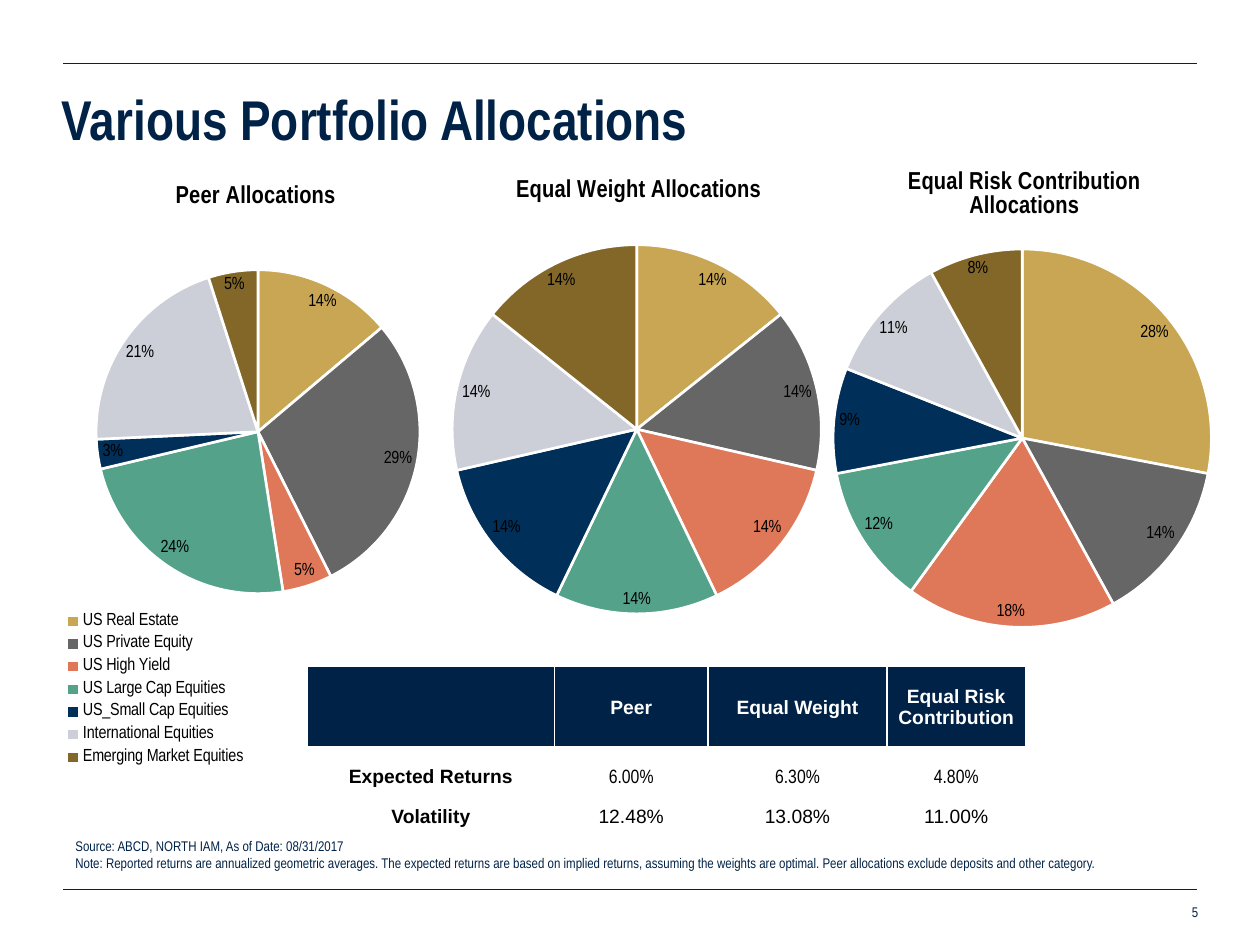
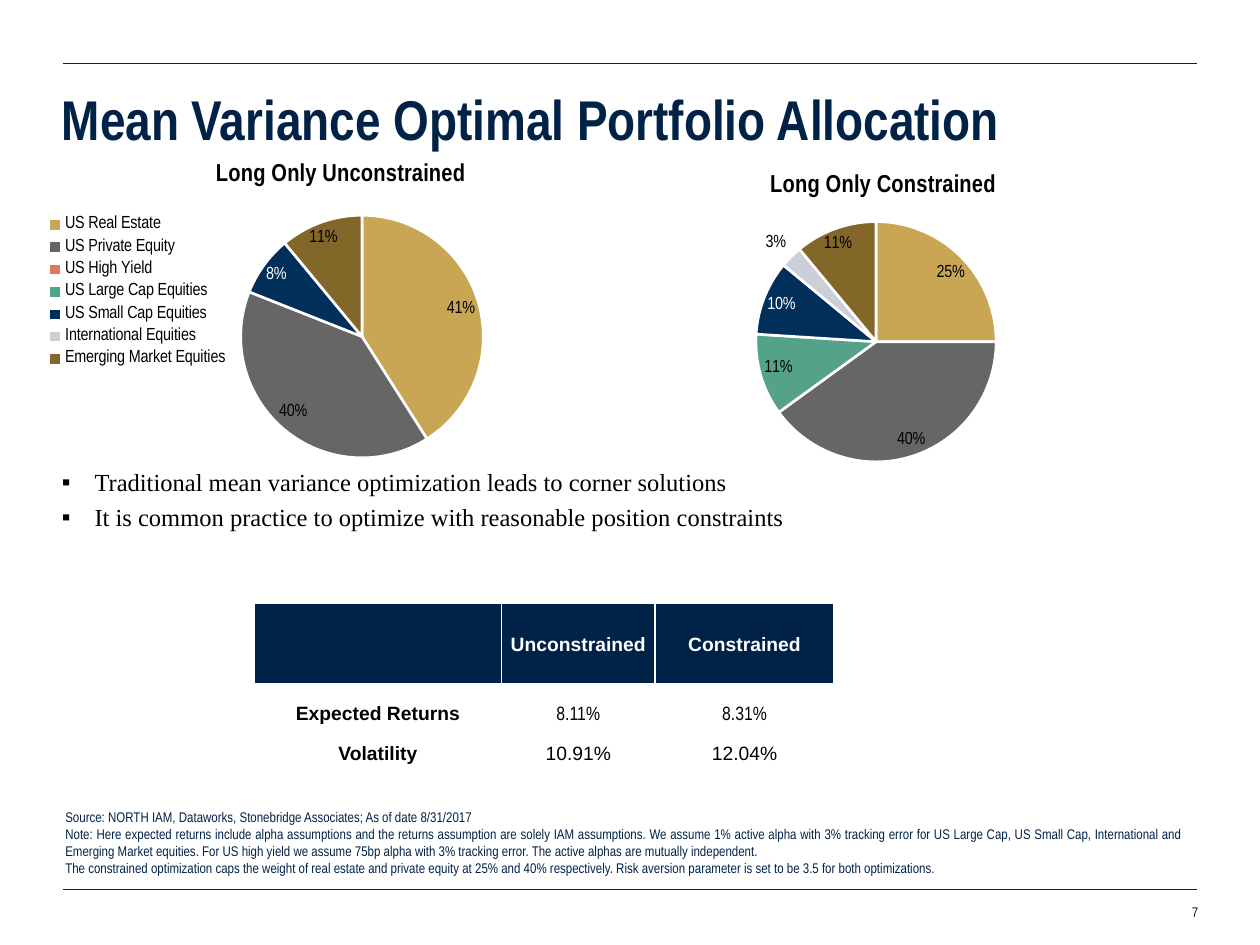
"""Build two portfolio allocation slides with pie charts and return tables."""
import pptx
import pptx.chart.data
import pptx.dml.color
import pptx.enum.chart
import pptx.enum.shapes
import pptx.enum.text
import pptx.oxml
import pptx.oxml.ns
import pptx.util
from dataclasses import dataclass
from lxml import etree

Inches, Pt = pptx.util.Inches, pptx.util.Pt
ALIGN, ANCHOR = pptx.enum.text.PP_ALIGN, pptx.enum.text.MSO_ANCHOR
qn = pptx.oxml.ns.qn


@dataclass(frozen=True)
class Theme:
    navy: str = "002247"
    white: str = "FFFFFF"
    black: str = "000000"
    slices: tuple = ("C9A653", "666666", "DF7759", "54A289", "002F59", "CDCFD8", "826729")
    narrow: str = "Arial Narrow"
    sans: str = "Arial"
    serif: str = "Times New Roman"
    title: int = 32
    heading: int = 14
    table: int = 11
    label: int = 10
    note: int = 8


THEME = Theme()
NUMBERS = [str(number) for number in range(1, 8)]
ASSETS = ["US Real Estate", "US Private Equity", "US High Yield", "US Large Cap Equities",
          "US Small Cap Equities", "International Equities", "Emerging Market Equities"]
PEER_ASSETS = [name.replace("US Small", "US_Small") for name in ASSETS]

SLIDES = [
    {
        "title": "Various Portfolio Allocations",
        "number": "5",
        "charts": [
            {"title": "Equal Weight Allocations", "at": (3.46, 1.23, 3.22, 3.96),
             "values": [0.14] * 7, "plot": (0.04, 0.18, 0.91, 0.74)},
            {"title": "Peer Allocations", "at": (0.22, 1.26, 3.62, 4.87),
             "values": [0.14, 0.29, 0.05, 0.24, 0.03, 0.21, 0.05],
             "plot": (0.15, 0.18, 0.71, 0.53),
             "names": PEER_ASSETS, "legend": (0.07, 0.73, 0.42, 0.27)},
            {"title": "Equal Risk Contribution Allocations", "at": (6.48, 1.17, 3.3, 3.98),
             "values": [0.28, 0.14, 0.18, 0.12, 0.09, 0.11, 0.08],
             "plot": (0.04, 0.2, 0.91, 0.76)},
        ],
        "table_at": (2.44, 5.29),
        "columns": [1.96, 1.22, 1.42, 1.1],
        "rows": [["", "Peer", "Equal Weight", "Equal Risk Contribution"],
                 ["Expected Returns", "6.00%", "6.30%", "4.80%"],
                 ["Volatility", "12.48%", "13.08%", "11.00%"]],
        "notes_at": (0.5, 6.6, 8.84, 0.55),
        "notes": [
            "Source: ABCD, NORTH IAM, As of Date: 08/31/2017",
            "Note: Reported returns are annualized geometric averages. The expected returns are "
            "based on implied returns, assuming the weights are optimal. Peer allocations "
            "exclude deposits and other category.",
        ],
    },
    {
        "title": "Mean Variance Optimal Portfolio Allocation",
        "number": "7",
        "bullets": ["Traditional mean variance optimization leads to corner solutions",
                    "It is common practice to optimize with reasonable position constraints"],
        "charts": [
            {"title": "Long Only Unconstrained", "at": (0.19, 1.08, 4.51, 3.93),
             "values": [0.41, 0.4, 0, 0, 0.08, 0, 0.11], "plot": (0.38, 0.16, 0.43, 0.49),
             "names": ASSETS, "legend": (0.03, 0.15, 0.34, 0.33),
             "title_at": (0.33, 0.04), "white_label": 4},
            {"title": "Long Only Constrained", "at": (4.17, 1.21, 5.68, 2.89),
             "values": [0.25, 0.4, 0, 0.11, 0.1, 0.03, 0.11],
             "plot": (0.32, 0.19, 0.34, 0.66), "white_label": 4},
        ],
        "table_at": (2.02, 4.79),
        "columns": [1.96, 1.22, 1.42],
        "rows": [["", "Unconstrained", "Constrained"],
                 ["Expected Returns", "8.11%", "8.31%"],
                 ["Volatility", "10.91%", "12.04%"]],
        "notes_at": (0.42, 6.37, 9.08, 0.73),
        "notes": [
            "Source: NORTH IAM, Dataworks, Stonebridge Associates; As of date 8/31/2017",
            "Note: Here expected returns include alpha assumptions and the returns assumption are "
            "solely IAM assumptions. We assume 1% active alpha with 3% tracking error for US "
            "Large Cap, US Small Cap, International and Emerging Market equities. For US high "
            "yield we assume 75bp alpha with 3% tracking error. The active alphas are mutually "
            "independent.",
            "The constrained optimization caps the weight of real estate and private equity at "
            "25% and 40% respectively. Risk aversion parameter is set to be 3.5 for both "
            "optimizations.",
        ],
    },
]


def rgb(color):
    return pptx.dml.color.RGBColor.from_string(color)


def style(font, size, color, face=THEME.narrow, bold=False):
    font.size, font.name, font.bold = Pt(size), face, bold
    font.color.rgb = rgb(color)


def add_text(page, at, lines, size, color=THEME.navy, face=THEME.narrow, bold=False,
             align=ALIGN.LEFT, anchor=ANCHOR.TOP, left=0.1, right=0.1):
    frame = page.shapes.add_textbox(*map(Inches, at)).text_frame
    frame.word_wrap = True
    frame.vertical_anchor = anchor
    frame.margin_left, frame.margin_right = Inches(left), Inches(right)
    frame.text = "\n".join(lines)
    for para in frame.paragraphs:
        para.alignment = align
        for span in para.runs:
            style(span.font, size, color, face, bold)
    return frame


def add_rule(page, y):
    rule = page.shapes.add_connector(pptx.enum.shapes.MSO_CONNECTOR.STRAIGHT,
                                     Inches(0.5), Inches(y), Inches(9.5), Inches(y))
    rule.line.color.rgb = rgb(THEME.navy)
    rule.line.width = Pt(0.5)
    etree.SubElement(rule._element.spPr, qn("a:effectLst"))


def add_bullets(page, lines):
    frame = add_text(page, (0.49, 3.66, 8.68, 0.7), lines, THEME.heading, THEME.black,
                     THEME.serif, left=0)
    for para in frame.paragraphs:
        para.space_before = Pt(3)
        props = para._p.get_or_add_pPr()
        props.set("marL", str(Inches(0.26)))
        props.set("indent", str(-Inches(0.26)))
        etree.SubElement(props, qn("a:buFont")).set("typeface", THEME.sans)
        etree.SubElement(props, qn("a:buChar")).set("char", "▪")


def place(element, before, parts, inner=False):
    for old in element.findall(qn("c:layout")):
        element.remove(old)
    layout = etree.Element(qn("c:layout"))
    manual = etree.SubElement(layout, qn("c:manualLayout"))
    if inner:
        etree.SubElement(manual, qn("c:layoutTarget")).set("val", "inner")
    for name in "xy":
        etree.SubElement(manual, qn(f"c:{name}Mode")).set("val", "edge")
    for name, value in zip("xywh", parts):
        etree.SubElement(manual, qn(f"c:{name}")).set("val", str(value))
    following = element.find(qn(before))
    following.addprevious(layout)


def hide_label(labels, index):
    label = pptx.oxml.parse_xml(
        f'<c:dLbl {pptx.oxml.ns.nsdecls("c")}><c:idx val="{index}"/>'
        '<c:delete val="1"/></c:dLbl>')
    labels._element.insert(len(labels._element.findall(qn("c:dLbl"))), label)


def add_pie(page, item):
    data = pptx.chart.data.CategoryChartData(number_format="0%")
    data.categories = item.get("names", NUMBERS)
    data.add_series("Series 1", item["values"])
    chart = page.shapes.add_chart(pptx.enum.chart.XL_CHART_TYPE.PIE,
                                  *map(Inches, item["at"]), data).chart
    style(chart.font, THEME.label, THEME.black)

    chart.has_title = True
    chart.chart_title.text_frame.text = item["title"]
    style(chart.chart_title.text_frame.paragraphs[0].runs[0].font,
          THEME.heading, THEME.black, bold=True)
    chart.chart_title.include_in_layout = False
    if "title_at" in item:
        place(chart.chart_title._element, "c:overlay", item["title_at"])

    chart.has_legend = "legend" in item
    if chart.has_legend:
        chart.legend.position = pptx.enum.chart.XL_LEGEND_POSITION.BOTTOM
        chart.legend.include_in_layout = False
        style(chart.legend.font, THEME.label, THEME.black)
        place(chart.legend._element, "c:overlay", item["legend"])

    plot = chart.plots[0]
    plot.vary_by_categories = True
    place(plot._element.getparent(), "c:pieChart", item["plot"], inner=True)
    series = plot.series[0]
    for index, color in enumerate(THEME.slices):
        piece = series.points[index].format
        piece.fill.solid()
        piece.fill.fore_color.rgb = rgb(color)
        piece.line.color.rgb = rgb(THEME.white)
        piece.line.width = Pt(1.5)

    best_fit = pptx.enum.chart.XL_LABEL_POSITION.BEST_FIT
    labels = series.data_labels
    labels.show_value = True
    labels.number_format, labels.number_format_is_linked = "0%", False
    labels.position = best_fit
    style(labels.font, THEME.label, THEME.black)
    for index, value in enumerate(item["values"]):
        if value == 0:
            hide_label(labels, index)
    if "white_label" in item:
        label = series.points[item["white_label"]].data_label
        style(label.font, THEME.label, THEME.white)
        label.position = best_fit


def add_borders(cell):
    props = cell._tc.get_or_add_tcPr()
    for index, side in enumerate(("lnL", "lnR", "lnT", "lnB")):
        line = etree.Element(qn(f"a:{side}"), w=str(Pt(1)))
        fill = etree.SubElement(line, qn("a:solidFill"))
        etree.SubElement(fill, qn("a:srgbClr")).set("val", THEME.white)
        props.insert(index, line)


def add_returns_table(page, at, columns, rows):
    heights = [0.64, 0.32, 0.32]
    table = page.shapes.add_table(len(rows), len(columns), *map(Inches, at),
                                  Inches(sum(columns)), Inches(sum(heights))).table
    table.first_row = table.horz_banding = False
    for column, width in zip(table.columns, columns):
        column.width = Inches(width)
    for r, (row, height) in enumerate(zip(rows, heights)):
        table.rows[r].height = Inches(height)
        for c, text in enumerate(row):
            cell = table.cell(r, c)
            header = r == 0
            cell.margin_left = cell.margin_right = cell.margin_top = Inches(0.01)
            cell.margin_bottom = 0
            cell.vertical_anchor = ANCHOR.MIDDLE if header else ANCHOR.BOTTOM
            if header:
                cell.fill.solid()
                cell.fill.fore_color.rgb = rgb(THEME.navy)
            else:
                cell.fill.background()
            add_borders(cell)
            cell.text = text
            para = cell.text_frame.paragraphs[0]
            para.alignment = ALIGN.CENTER
            for span in para.runs:
                style(span.font, THEME.table, THEME.white if header else THEME.black,
                      THEME.narrow if r == 1 and c > 0 else THEME.sans, header or c == 0)


def add_page(deck, content):
    page = deck.slides.add_slide(deck.slide_layouts[6])
    for y in (0.5, 7.06):
        add_rule(page, y)
    if "bullets" in content:
        add_bullets(page, content["bullets"])
    add_text(page, (0.49, 0.52, 9.01, 0.83), [content["title"]], THEME.title,
             bold=True, anchor=ANCHOR.MIDDLE, left=0)
    add_text(page, (7.15, 7.1, 2.36, 0.27), [content["number"]], THEME.note,
             align=ALIGN.RIGHT, anchor=ANCHOR.MIDDLE, right=0)
    for item in content["charts"]:
        add_pie(page, item)
    add_returns_table(page, content["table_at"], content["columns"], content["rows"])
    add_text(page, content["notes_at"], content["notes"], THEME.note, align=ALIGN.JUSTIFY)


deck = pptx.Presentation()
deck.slide_width, deck.slide_height = Inches(10), Inches(7.5)
for content in SLIDES:
    add_page(deck, content)
deck.save("out.pptx")
